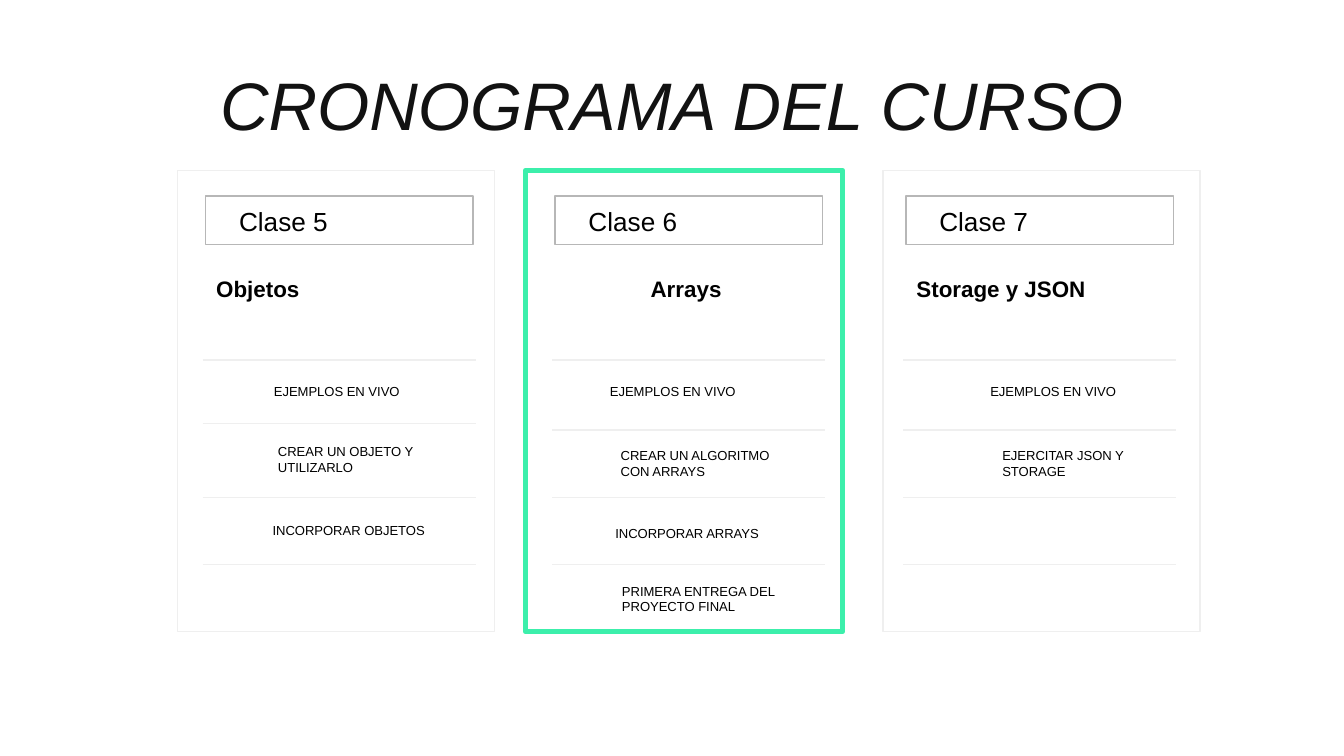
from pptx import Presentation
from pptx.dml.color import RGBColor
from pptx.enum.shapes import MSO_CONNECTOR as LINK, MSO_SHAPE as SHAPE
from pptx.enum.text import MSO_ANCHOR as ANCHOR, MSO_AUTO_SIZE as FIT, PP_ALIGN as ALIGN
from pptx.oxml.ns import qn
from pptx.util import Pt
from lxml.etree import SubElement

PX = 9144  # 100 px to the inch
INK = RGBColor(0x12, 0x12, 0x12)
BLACK = RGBColor(0, 0, 0)
MINT = RGBColor(0x3C, 0xEF, 0xAB)
PALE = RGBColor(0xEF, 0xEF, 0xEF)
GREY = RGBColor(0xB7, 0xB7, 0xB7)

TOP, WIDE, TALL = 127, 236, 343
# card left, content inset, edge, edge points, label, topic, topic align,
# topic width, second rule drop, items (left and top in the card, width, text)
CARDS = [
    (132, 19, PALE, 0.75, "Clase 5", "Objetos", ALIGN.LEFT, 221, 188, [
        (62, 149, 144, "EJEMPLOS EN VIVO"),
        (65, 199, 144, "CREAR UN OBJETO Y UTILIZARLO"),
        (61, 252, 152, "INCORPORAR OBJETOS")]),
    (391, 20, MINT, 3, "Clase 6", "Arrays", ALIGN.CENTER, 199, 193, [
        (53, 149, 144, "EJEMPLOS EN VIVO"),
        (61, 202, 144, "CREAR UN ALGORITMO CON ARRAYS"),
        (57, 254, 152, "INCORPORAR ARRAYS"),
        (62, 303, 177, "PRIMERA ENTREGA DEL PROYECTO FINAL")]),
    (657, 15, PALE, 0.75, "Clase 7", "Storage y JSON", ALIGN.LEFT, 221, 193, [
        (70, 149, 144, "EJEMPLOS EN VIVO"),
        (79, 202, 144, "EJERCITAR JSON Y STORAGE")]),
]


def scale(*box):
    return [n * PX for n in box]


def fill_text(frame, text, size, color=BLACK, align=ALIGN.LEFT, anchor=ANCHOR.TOP):
    frame.word_wrap = True
    frame.auto_size = FIT.NONE
    frame.vertical_anchor = anchor
    frame.margin_left = frame.margin_right = 10 * PX
    frame.margin_top = frame.margin_bottom = 10 * PX
    para = frame.paragraphs[0]
    para.text = text
    para.alignment = align
    para.font.name = "Arial"
    para.font.size = Pt(size)
    para.font.color.rgb = color
    return para


def add_text(slide, box, text, size, **style):
    frame = slide.shapes.add_textbox(*scale(*box)).text_frame
    return fill_text(frame, text, size, **style)


def add_frame(slide, box, color, points):
    rect = slide.shapes.add_shape(SHAPE.RECTANGLE, *scale(*box))
    rect.shadow.inherit = False
    rect.fill.background()
    rect.line.color.rgb = color
    rect.line.width = Pt(points)


def add_rule(slide, left, top, width):
    rule = slide.shapes.add_connector(LINK.STRAIGHT, *scale(left, top, left + width, top))
    rule.line.color.rgb = PALE
    rule.line.width = Pt(0.75)
    SubElement(rule._element.spPr, qn("a:effectLst"))


def add_title(slide, box, text):
    title = slide.shapes.title
    title.left, title.top, title.width, title.height = scale(*box)
    para = fill_text(title.text_frame, text, 36, INK, ALIGN.CENTER, ANCHOR.MIDDLE)
    para.font.italic = True


def add_card(slide, box, inset, edge, points, label, topic, align, span, drop, items):
    left, top, width, height = box
    inner = left + inset
    add_frame(slide, box, edge, points)
    add_frame(slide, (inner + 2, top + 19, 199, 36), GREY, 0.75)
    add_text(slide, (inner + 17, top + 16, 135, 40), label, 14)
    head = add_text(slide, (inner, top + 65, span, 46), topic, 12, align=align)
    head.line_spacing = 1.15
    head.font.bold = True
    for y in (141, drop, 243, 293):
        add_rule(slide, inner, top + y, 203)
    for x, y, wide, text in items:
        add_text(slide, (left + x, top + y, wide, 31), text, 7, anchor=ANCHOR.MIDDLE)


def main():
    deck = Presentation()
    deck.slide_width = 1000 * PX
    deck.slide_height = deck.slide_width * 9 // 16
    slide = deck.slides.add_slide(deck.slide_layouts[5])
    add_title(slide, (153, 23, 694, 108), "CRONOGRAMA DEL CURSO")
    for left, *rest in CARDS:
        add_card(slide, (left, TOP, WIDE, TALL), *rest)
    deck.save("out.pptx")


if __name__ == "__main__":
    main()
